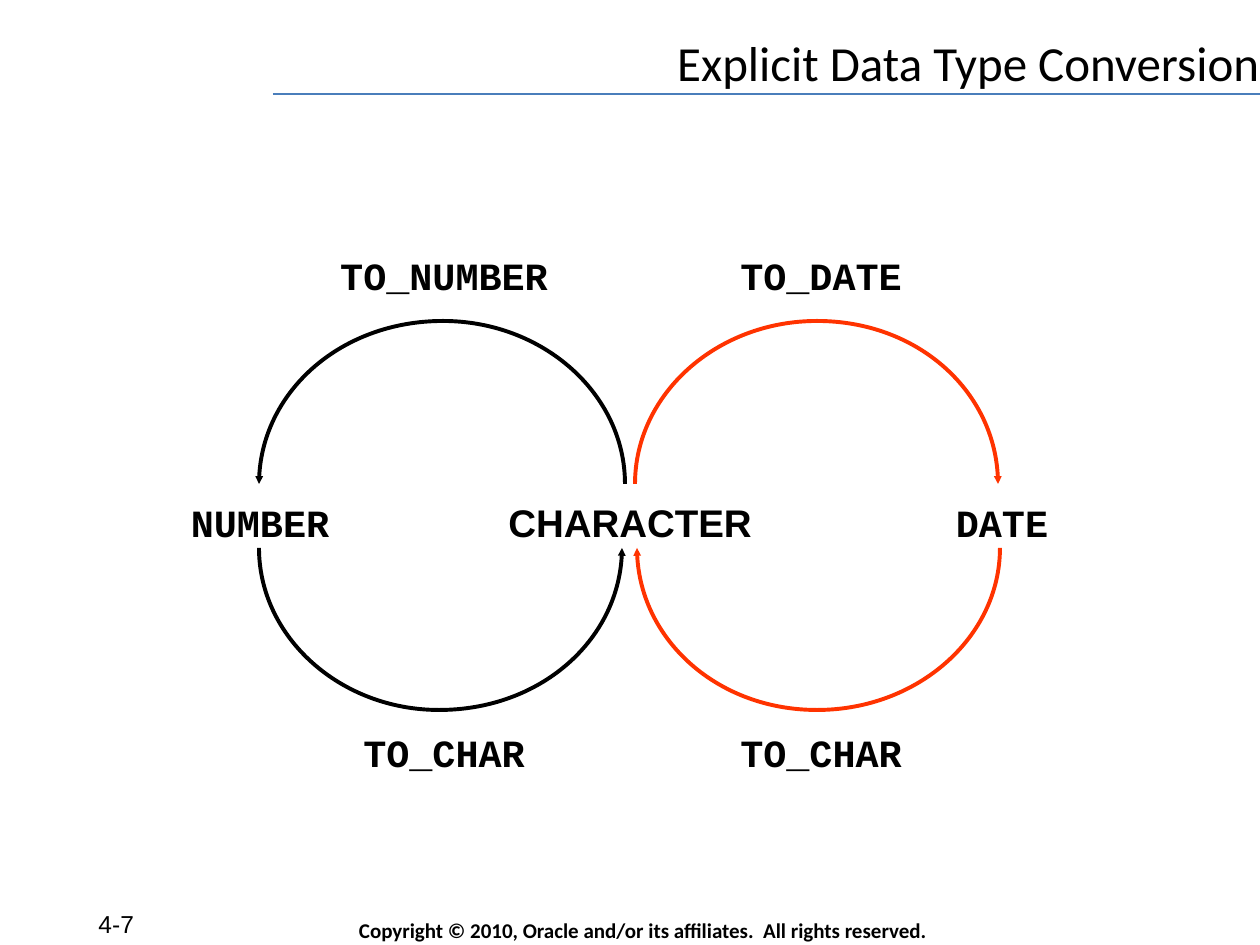
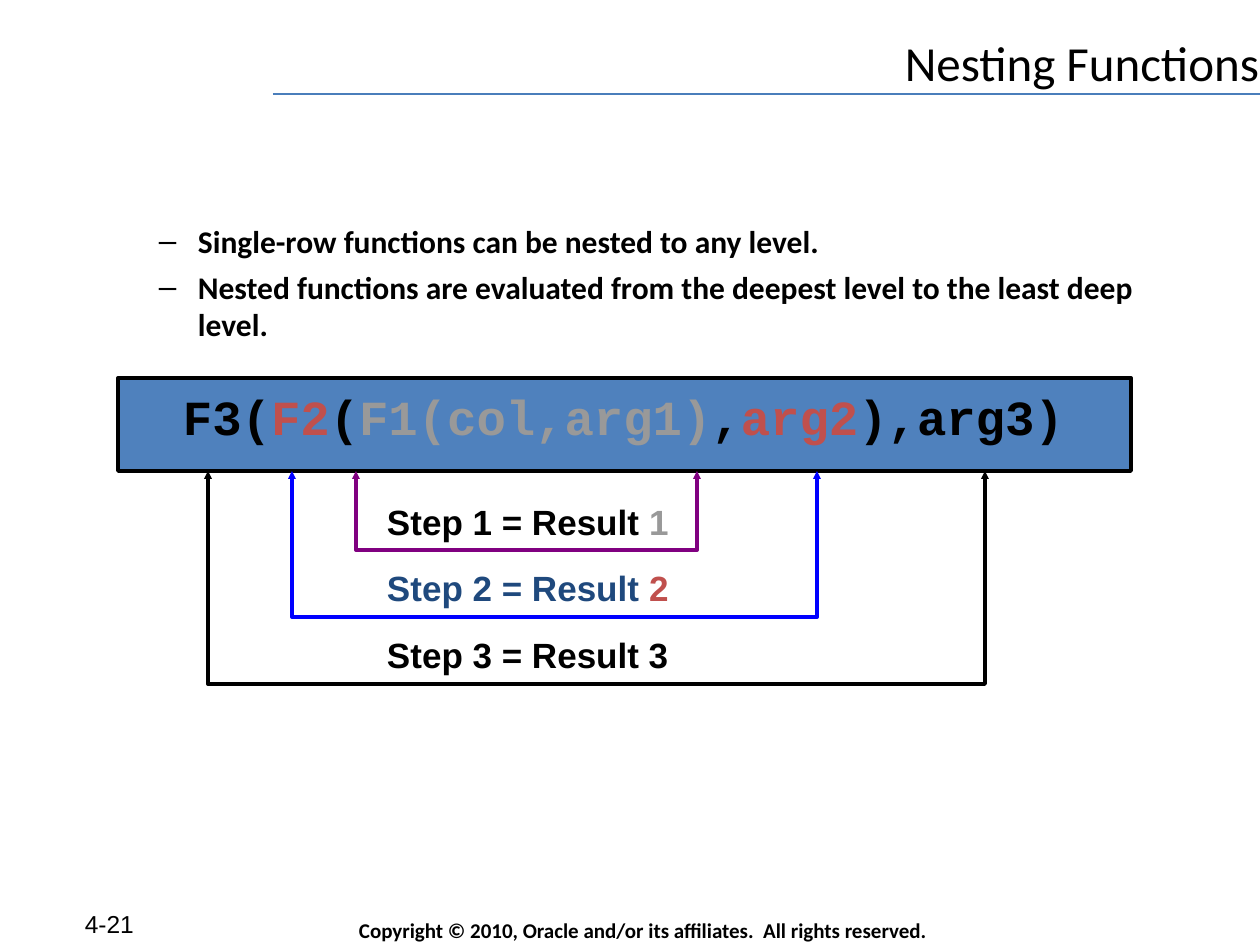
from dataclasses import dataclass
from typing import NamedTuple

from pptx import Presentation
from pptx import util as u
from pptx.dml.color import RGBColor
from pptx.enum import shapes, text
from pptx.oxml.ns import qn
from lxml import etree

# Scale and shared style
PX = 914400 / 126
WIDTH, HEIGHT = 1260, 945

BLACK = RGBColor(0x00, 0x00, 0x00)
WHITE = RGBColor(0xFF, 0xFF, 0xFF)
RULE_BLUE = RGBColor(0x4A, 0x7E, 0xBB)
BAND_BLUE = RGBColor(0x4F, 0x81, 0xBD)
NAVY = RGBColor(0x1F, 0x49, 0x7D)
BLUE = RGBColor(0x00, 0x00, 0xFF)
PURPLE = RGBColor(0x80, 0x00, 0x80)
ORANGE = RGBColor(0xFF, 0x33, 0x00)
RED = RGBColor(0xC0, 0x50, 0x4D)
GRAY = RGBColor(0x99, 0x99, 0x99)

SANS, BODY, MONO = "Arial", "Calibri", "Courier New"
LINE_WIDTH = 2.25
COPYRIGHT = "Copyright © 2010, Oracle and/or its affiliates.  All rights reserved."


class Box(NamedTuple):
    left: int
    top: int
    width: int
    height: int


class Run(NamedTuple):
    text: str
    color: RGBColor


class Label(NamedTuple):
    text: str
    center: int
    top: int
    font: str = MONO


@dataclass
class HalfArc:
    left: int
    apex: int
    right: int
    tip_y: int
    apex_y: int
    color: RGBColor
    arrow_at_left: bool


@dataclass
class Step:
    left: int
    right: int
    bottom: int
    line_color: RGBColor
    label_top: int
    label: list[Run]


def emu(px: float) -> int:
    return round(px * PX)


def add_text(slide, box: Box, *paragraphs: str | list[Run], size: float, font: str = SANS,
             color: RGBColor = BLACK, bold: bool = False, align=text.PP_ALIGN.LEFT,
             anchor=text.MSO_ANCHOR.TOP, inset: tuple[int, int] = (13, 6),
             wrap: bool = True, fill: RGBColor | None = None,
             line_spacing: float | None = None, space_before: float = 0,
             bullet: str | None = None):
    shape = slide.shapes.add_textbox(*map(emu, box))
    if fill is not None:
        shape.fill.solid()
        shape.fill.fore_color.rgb = fill
    frame = shape.text_frame
    frame.word_wrap = wrap
    frame.auto_size = text.MSO_AUTO_SIZE.NONE
    frame.vertical_anchor = anchor
    frame.margin_left = frame.margin_right = emu(inset[0])
    frame.margin_top = frame.margin_bottom = emu(inset[1])
    for index, content in enumerate(paragraphs):
        paragraph = frame.paragraphs[0] if index == 0 else frame.add_paragraph()
        paragraph.alignment = align
        if bullet:
            add_bullet(paragraph, bullet)
        if line_spacing:
            paragraph.line_spacing = u.Pt(line_spacing)
        if index and space_before:
            paragraph.space_before = u.Pt(space_before)
        for piece in [Run(content, color)] if isinstance(content, str) else content:
            run = paragraph.add_run()
            run.text = piece.text
            run.font.name, run.font.size, run.font.bold = font, u.Pt(size), bold
            run.font.color.rgb = piece.color
    return shape


def add_bullet(paragraph, character: str) -> None:
    properties = paragraph._p.get_or_add_pPr()
    properties.set("marL", str(emu(102)))
    properties.set("indent", str(emu(-39)))
    etree.SubElement(properties, qn("a:buFont"), typeface=SANS)
    etree.SubElement(properties, qn("a:buChar"), char=character)


def add_outline(slide, points: list[tuple[int, int]], color: RGBColor,
                head: bool = False, tail: bool = False):
    """Draw an open, unfilled line through the points."""
    builder = slide.shapes.build_freeform(*points[0], scale=PX)
    builder.add_line_segments(points[1:], close=False)
    shape = builder.convert_to_shape()
    shape.shadow.inherit = False
    shape.fill.background()
    shape.line.color.rgb = color
    shape.line.width = u.Pt(LINE_WIDTH)
    line = shape.line._get_or_add_ln()
    for tag, wanted in (("a:headEnd", head), ("a:tailEnd", tail)):
        if wanted:
            etree.SubElement(line, qn(tag), type="triangle", w="sm", len="sm")
    return shape


def add_quarter_arc(slide, tip: tuple[int, int], apex: tuple[int, int],
                    color: RGBColor, arrow: bool) -> None:
    """Curve from an upright tip to a level apex, with any arrow at the tip."""
    bend = 0.55
    controls = [(tip[0], round(tip[1] + bend * (apex[1] - tip[1]))),
                (round(apex[0] + bend * (tip[0] - apex[0])), apex[1])]
    shape = add_outline(slide, [tip, *controls, apex], color, head=arrow)
    # Turn the three straight segments into one Bézier segment
    outline = shape._element.find(".//" + qn("a:path"))
    segments = outline.findall(qn("a:lnTo"))
    curve = etree.SubElement(outline, qn("a:cubicBezTo"))
    for segment in segments:
        curve.append(segment[0])
        outline.remove(segment)


def add_half_arc(slide, arc: HalfArc) -> None:
    apex = (arc.apex, arc.apex_y)
    add_quarter_arc(slide, (arc.left, arc.tip_y), apex, arc.color, arc.arrow_at_left)
    add_quarter_arc(slide, (arc.right, arc.tip_y), apex, arc.color, not arc.arrow_at_left)


def add_base_slide(presentation, title: str, number: str):
    """Blank slide with footer, title rule, page number and title."""
    slide = presentation.slides.add_slide(presentation.slide_layouts[6])
    add_text(slide, Box(346, 917, 566, 27), COPYRIGHT, size=12, font=BODY, bold=True,
             anchor=text.MSO_ANCHOR.MIDDLE, wrap=False)
    rule = slide.shapes.add_connector(shapes.MSO_CONNECTOR.STRAIGHT,
                                      emu(273), emu(94), emu(WIDTH), emu(94))
    rule.line.color.rgb = RULE_BLUE
    rule.line.width = u.Pt(0.75)
    etree.SubElement(rule._element.spPr, qn("a:effectLst"))
    add_text(slide, Box(-115, 903, 262, 63), number, size=14, align=text.PP_ALIGN.RIGHT)
    add_text(slide, Box(189, 32, 1071, 53), title, size=28, font=BODY,
             align=text.PP_ALIGN.RIGHT, inset=(1, 1), fill=WHITE)
    return slide


# Slide: conversion cycle between data types
def build_conversion_slide(presentation) -> None:
    slide = add_base_slide(presentation, "Explicit Data Type Conversion", "4-7")
    top, middle, bottom = 246, 493, 723
    labels = [
        Label("NUMBER", 260, middle),
        Label("CHARACTER", 630, middle, SANS),
        Label("DATE", 1002, middle),
        Label("TO_NUMBER", 444, top),
        Label("TO_DATE", 821, top),
        Label("TO_CHAR", 444, bottom),
        Label("TO_CHAR", 821, bottom),
    ]
    label_width = 320
    for label in labels:
        add_text(slide, Box(label.center - label_width // 2, label.top, label_width, 59),
                 label.text, size=22, font=label.font, bold=True,
                 align=text.PP_ALIGN.CENTER)
    for arc in (
        HalfArc(259, 439, 622, 548, 710, BLACK, arrow_at_left=False),
        HalfArc(637, 817, 1000, 548, 710, ORANGE, arrow_at_left=True),
        HalfArc(635, 817, 998, 484, 321, ORANGE, arrow_at_left=False),
        HalfArc(259, 443, 625, 484, 321, BLACK, arrow_at_left=True),
    ):
        add_half_arc(slide, arc)


# Slide: nested calls and their evaluation order
def build_nesting_slide(presentation) -> None:
    slide = add_base_slide(presentation, "Nesting Functions", "4-21")
    add_text(slide, Box(95, 221, 1071, 125),
             "Single-row functions can be nested to any level.",
             "Nested functions are evaluated from the deepest level to the least deep level.",
             size=18, font=BODY, bold=True, inset=(1, 1), fill=WHITE,
             space_before=4.5, bullet="–")

    band = Box(118, 378, 1013, 93)
    shape = slide.shapes.add_shape(shapes.MSO_SHAPE.RECTANGLE, *map(emu, band))
    shape.shadow.inherit = False
    shape.fill.solid()
    shape.fill.fore_color.rgb = BAND_BLUE
    shape.line.color.rgb = BLACK
    shape.line.width = u.Pt(LINE_WIDTH)
    call = [Run("F3(", BLACK), Run("F2", RED), Run("(", BLACK), Run("F1(col,arg1)", GRAY),
            Run(",", BLACK), Run("arg2", RED), Run("),arg3)", BLACK)]
    add_text(slide, Box(170, 401, 920, 51), call, size=28, font=MONO, bold=True,
             line_spacing=22)

    band_bottom = band.top + band.height
    for step in (
        Step(356, 697, 550, PURPLE, 494, [Run("Step 1 = Result ", BLACK), Run("1", GRAY)]),
        Step(292, 817, 617, BLUE, 560, [Run("Step 2 = Result ", NAVY), Run("2", RED)]),
        Step(208, 985, 684, BLACK, 627, [Run("Step 3 = Result 3", BLACK)]),
    ):
        corners = [(step.left, band_bottom), (step.left, step.bottom),
                   (step.right, step.bottom), (step.right, band_bottom)]
        add_outline(slide, corners, step.line_color, head=True, tail=True)
        add_text(slide, Box(374, step.label_top, 320, 54), step.label, size=20, bold=True)


def main() -> None:
    presentation = Presentation()
    presentation.slide_width, presentation.slide_height = emu(WIDTH), emu(HEIGHT)
    build_conversion_slide(presentation)
    build_nesting_slide(presentation)
    presentation.save("out.pptx")


if __name__ == "__main__":
    main()
